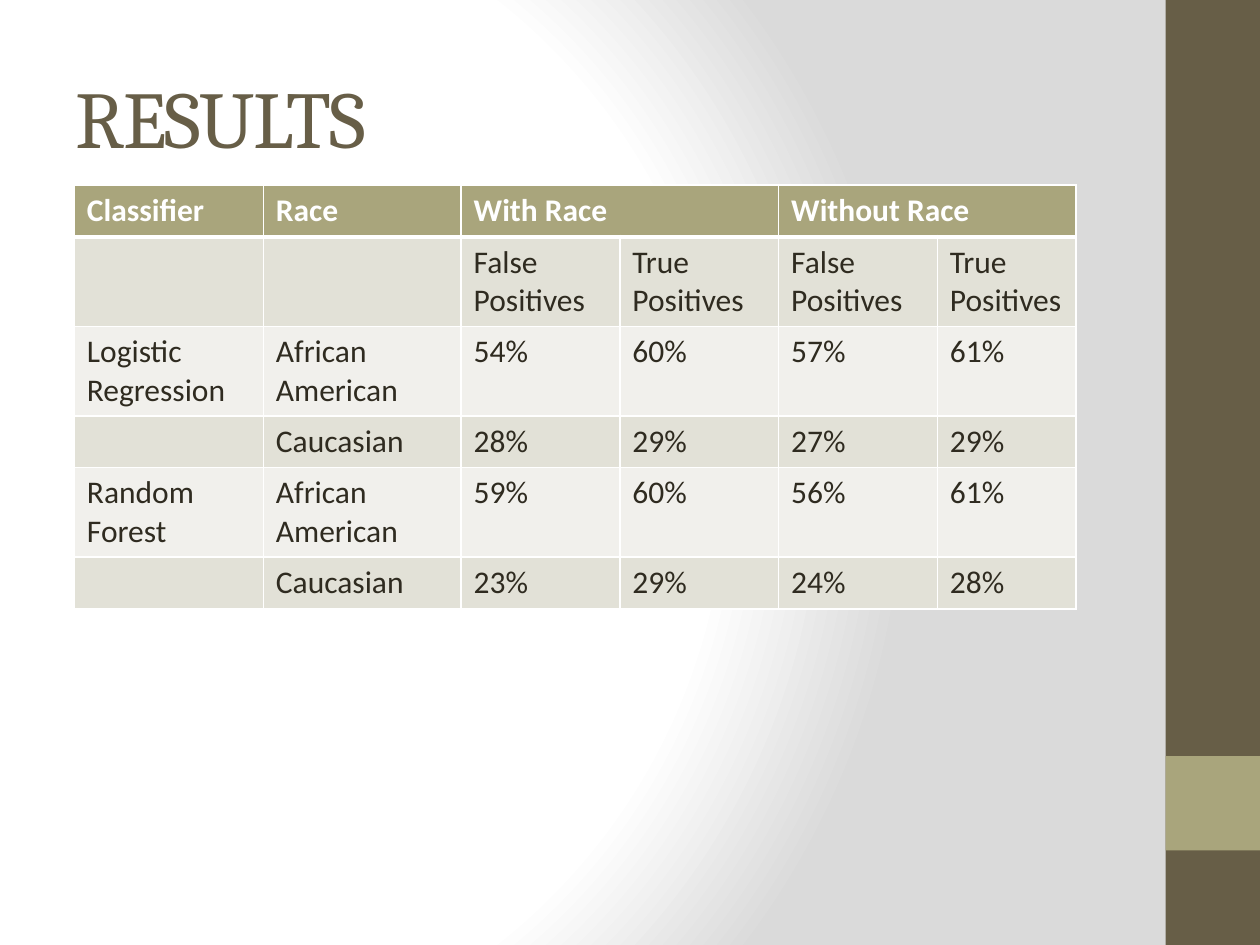
from lxml.etree import SubElement
from pptx import Presentation
from pptx.dml.color import RGBColor
from pptx.enum.shapes import MSO_SHAPE
from pptx.enum.text import MSO_ANCHOR, PP_ALIGN
from pptx.oxml import parse_xml
from pptx.oxml.ns import nsdecls, qn
from pptx.util import Inches, Pt

WIDE, HIGH = Inches(10), Inches(7.5)
HUES = {"dark": "675E47", "olive": "A9A57C", "ink": "2F2B20", "white": "FFFFFF",
        "band": "E2E1D7", "pale": "F1F0EC", "gray": "DADADA"}
TITLE = {"name": "Cambria", "size": Pt(46), "bold": False}
HEAD = {"name": "Calibri", "size": Pt(18), "bold": True}
BODY = {**HEAD, "bold": False}
COLS = [1.5, 1.57, 1.26, 1.26, 1.26, 1.1]
ROW = 0.41
DATA = [
    ["Classifier", "Race", "With Race", "", "Without Race", ""],
    ["", ""] + ["False Positives", "True Positives"] * 2,
    ["Logistic Regression", "African American", "54%", "60%", "57%", "61%"],
    ["", "Caucasian", "28%", "29%", "27%", "29%"],
    ["Random Forest", "African American", "59%", "60%", "56%", "61%"],
    ["", "Caucasian", "23%", "29%", "24%", "28%"],
]


def tint(hue):
    return RGBColor.from_string(HUES[hue])


def style(font, form, hue):
    for key, value in form.items():
        setattr(font, key, value)
    font.color.rgb = tint(hue)


def paint_back(slide):
    """Fill the background with a round gradient centred left of the middle."""
    stops = "".join(
        f'<a:gs pos="{share * 1000}"><a:srgbClr val="{HUES[hue]}"/></a:gs>'
        for share, hue in [(0, "white"), (75, "white"), (100, "gray")])
    back = parse_xml(
        f'<p:bg {nsdecls("p", "a")}><p:bgPr><a:gradFill rotWithShape="1">'
        f'<a:gsLst>{stops}</a:gsLst><a:path path="circle">'
        '<a:fillToRect l="20000" t="50000" r="100000" b="50000"/></a:path>'
        '</a:gradFill><a:effectLst/></p:bgPr></p:bg>')
    slide.element.cSld.insert(0, back)


def add_bar(slide, top, tall, hue):
    """Add a block to the right-hand strip; top and tall are shares of the height."""
    bar = slide.shapes.add_shape(MSO_SHAPE.RECTANGLE, int(WIDE * 0.925), int(HIGH * top),
                                 int(WIDE * 0.075), int(HIGH * tall))
    bar.shadow.inherit = False
    bar.fill.solid()
    bar.fill.fore_color.rgb = tint(hue)
    bar.line.fill.background()


def set_title(slide, text):
    title = slide.shapes.title
    place = {"left": 0.5, "top": 0.3, "width": 8.33, "height": 1.25}
    for key, value in place.items():
        setattr(title, key, Inches(value))
    frame = title.text_frame
    frame.text = text
    frame.vertical_anchor = MSO_ANCHOR.MIDDLE
    line = frame.paragraphs[0]
    line.alignment = PP_ALIGN.LEFT
    run = line.runs[0]
    style(run.font, TITLE, "dark")
    run.font._element.set("spc", "-100")


def add_edges(cell, widths):
    """Draw white cell borders; widths maps each side to points."""
    props = cell._tc.get_or_add_tcPr()
    for side, width in widths.items():
        edge = SubElement(props, qn(f"a:ln{side}"), w=str(Pt(width)))
        fill = SubElement(edge, qn("a:solidFill"))
        SubElement(fill, qn("a:srgbClr"), val=HUES["white"])


def fill_cell(cell, text, row):
    add_edges(cell, {"L": 1, "R": 1, "T": 3 if row == 1 else 1, "B": 3 if row == 0 else 1})
    cell.fill.solid()
    cell.fill.fore_color.rgb = tint("olive" if row == 0 else "band" if row % 2 else "pale")
    cell.text = text
    form, hue = (HEAD, "white") if row == 0 else (BODY, "ink")
    style(cell.text_frame.paragraphs[0].font, form, hue)


def add_grid(slide):
    grid = slide.shapes.add_table(
        len(DATA), len(COLS), Inches(0.59), Inches(1.47),
        Inches(sum(COLS)), Inches(ROW * len(DATA))).table
    for col, width in zip(grid.columns, COLS):
        col.width = Inches(width)
    for r, texts in enumerate(DATA):
        grid.rows[r].height = Inches(ROW)
        for c, text in enumerate(texts):
            fill_cell(grid.cell(r, c), text, r)
    for c in (2, 4):
        grid.cell(0, c).merge(grid.cell(0, c + 1))


def main():
    deck = Presentation()
    deck.slide_width, deck.slide_height = WIDE, HIGH
    slide = deck.slides.add_slide(deck.slide_layouts[5])
    paint_back(slide)
    add_bar(slide, 0, 1, "dark")
    add_bar(slide, 0.8, 0.1, "olive")
    set_title(slide, "RESULTS")
    add_grid(slide)
    deck.save("out.pptx")


if __name__ == "__main__":
    main()
